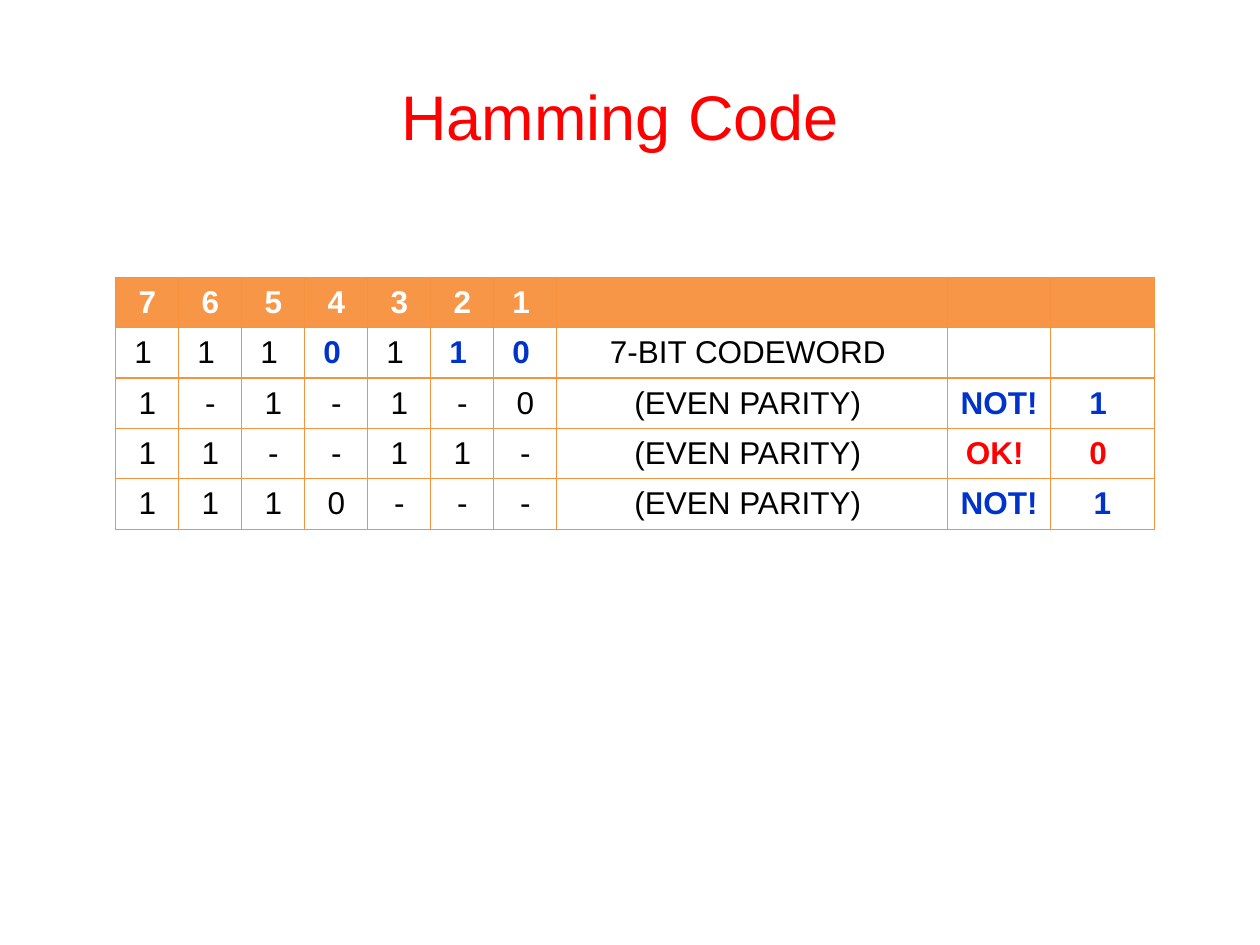
import pptx
import pptx.dml.color
import pptx.enum.text
import pptx.oxml.ns
import pptx.util
from lxml import etree

Inches = pptx.util.Inches
Pt = pptx.util.Pt
FONT = "Arial"
ORANGE, BORDER = "F79646", "F69240"
WHITE, BLACK, RED, BLUE = "FFFFFF", "000000", "FF0000", "0033CC"
COLUMN_WIDTHS = [0.5] * 7 + [3.1, 0.82, 0.82]
ROW_HEIGHT = 0.4
ROWS = [
    ["7", "6", "5", "4", "3", "2", "1 ", "", "", ""],
    ["1 ", "1 ", "1 ", "0 ", "1 ", "1 ", "0 ", "7-BIT CODEWORD ", "", ""],
    ["1", "-", "1", "-", "1", "-", "0", "(EVEN PARITY) ", "NOT! ", "1 "],
    ["1", "1", "-", "-", "1", "1", "-", "(EVEN PARITY) ", "OK! ", "0 "],
    ["1", "1", "1", "0", "-", "-", "-", "(EVEN PARITY) ", "NOT! ", "1"],
]
CODEWORD_ROW = 1
CHECK_BIT_COLUMNS = (3, 5, 6)
FIRST_RESULT_COLUMN = 8


def color(value):
    return pptx.dml.color.RGBColor.from_string(value)


def format_text(frame, size, tint, bold=False):
    frame.vertical_anchor = pptx.enum.text.MSO_ANCHOR.MIDDLE
    para = frame.paragraphs[0]
    para.alignment = pptx.enum.text.PP_ALIGN.CENTER
    para.font.name = FONT
    para.font.size = Pt(size)
    para.font.bold = bold
    para.font.color.rgb = color(tint)


def add_title(page, text):
    title = page.shapes.title
    title.left, title.top = Inches(0.42), Inches(0.33)
    title.width, title.height = Inches(9), Inches(1.17)
    title.text_frame.text = text
    format_text(title.text_frame, 36, RED)


def set_borders(cell):
    qn = pptx.oxml.ns.qn
    properties = cell._tc.get_or_add_tcPr()
    for side in ("lnL", "lnR", "lnT", "lnB"):
        line = etree.SubElement(properties, qn(f"a:{side}"), w=str(Pt(0.75)))
        fill = etree.SubElement(line, qn("a:solidFill"))
        etree.SubElement(fill, qn("a:srgbClr"), val=BORDER)


def cell_style(row, column):
    if row == 0:
        return WHITE, True
    if row == CODEWORD_ROW and column in CHECK_BIT_COLUMNS:
        return BLUE, True
    if column >= FIRST_RESULT_COLUMN:
        passed = ROWS[row][FIRST_RESULT_COLUMN].startswith("OK")
        return (RED if passed else BLUE), True
    return BLACK, False


def add_parity_table(page):
    frame = page.shapes.add_table(
        len(ROWS), len(COLUMN_WIDTHS), Inches(0.92), Inches(2.2),
        Inches(sum(COLUMN_WIDTHS)), Inches(ROW_HEIGHT * len(ROWS)))
    table = frame.table
    for column, width in zip(table.columns, COLUMN_WIDTHS):
        column.width = Inches(width)
    for row, texts in enumerate(ROWS):
        table.rows[row].height = Inches(ROW_HEIGHT)
        for column, text in enumerate(texts):
            cell = table.cell(row, column)
            set_borders(cell)
            cell.fill.solid()
            cell.fill.fore_color.rgb = color(ORANGE if row == 0 else WHITE)
            cell.vertical_anchor = pptx.enum.text.MSO_ANCHOR.MIDDLE
            cell.text = text
            format_text(cell.text_frame, 18, *cell_style(row, column))


def main():
    deck = pptx.Presentation()
    deck.slide_width, deck.slide_height = Inches(10), Inches(7.5)
    page = deck.slides.add_slide(deck.slide_layouts[5])
    add_title(page, "Hamming Code")
    add_parity_table(page)
    deck.save("out.pptx")


if __name__ == "__main__":
    main()
